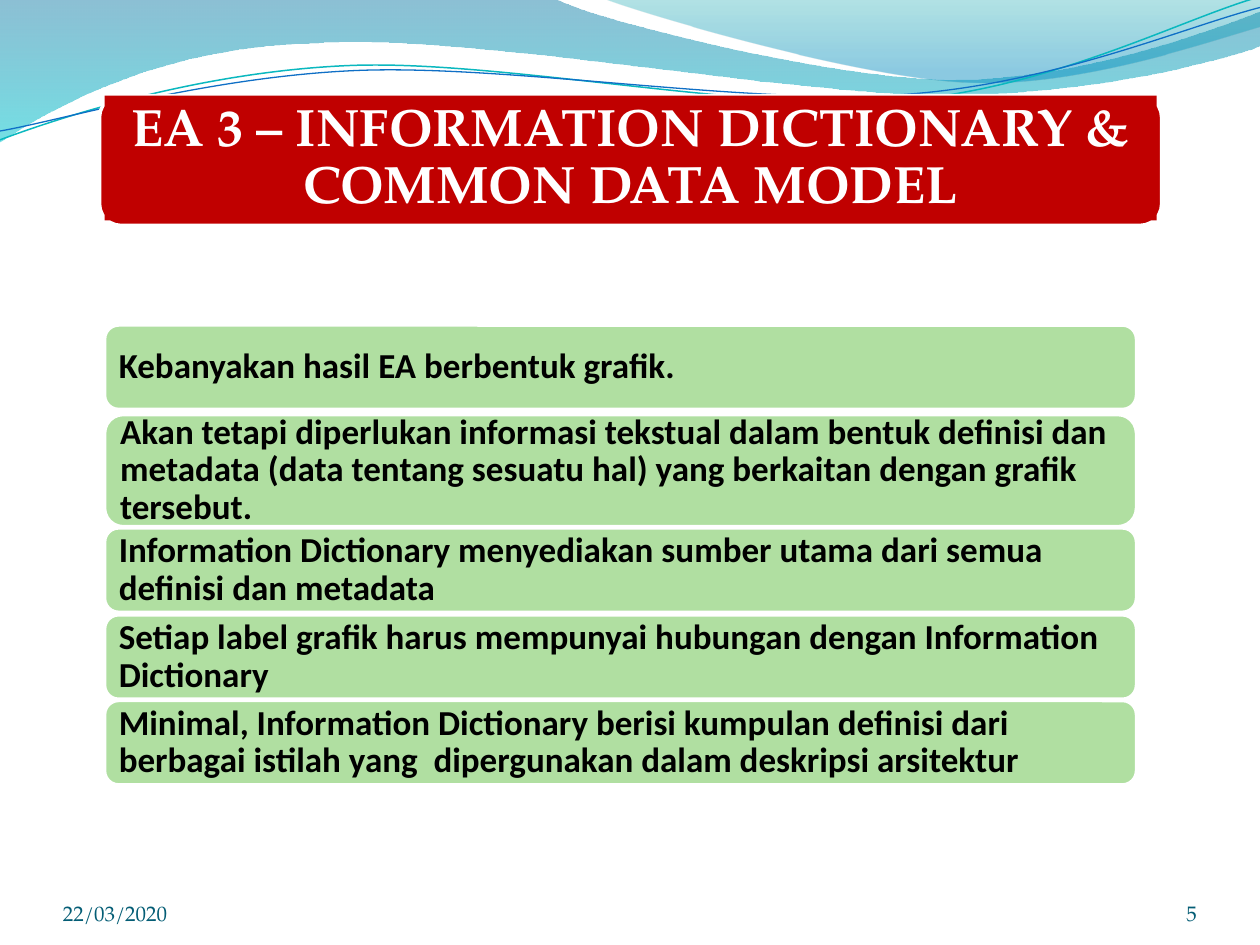
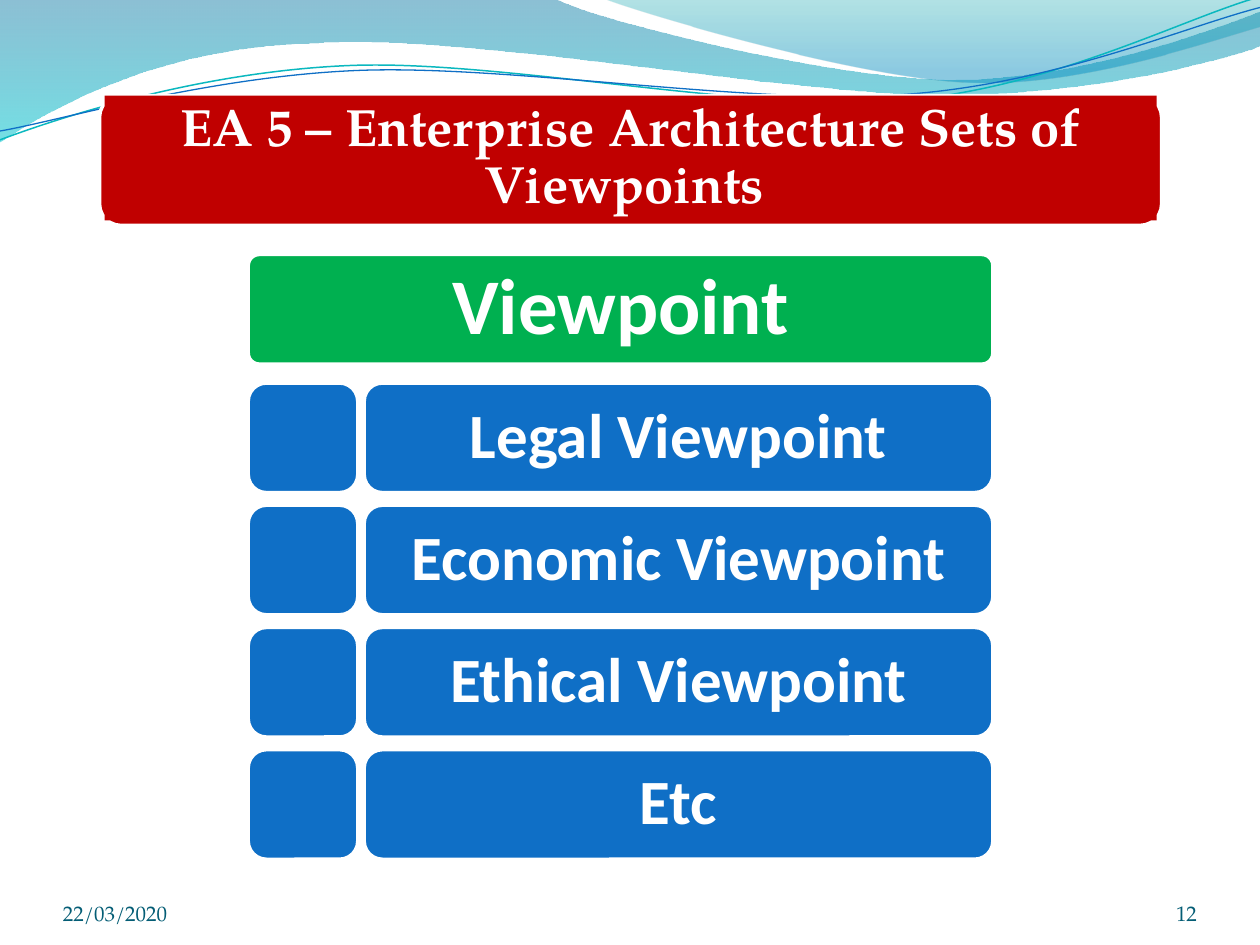
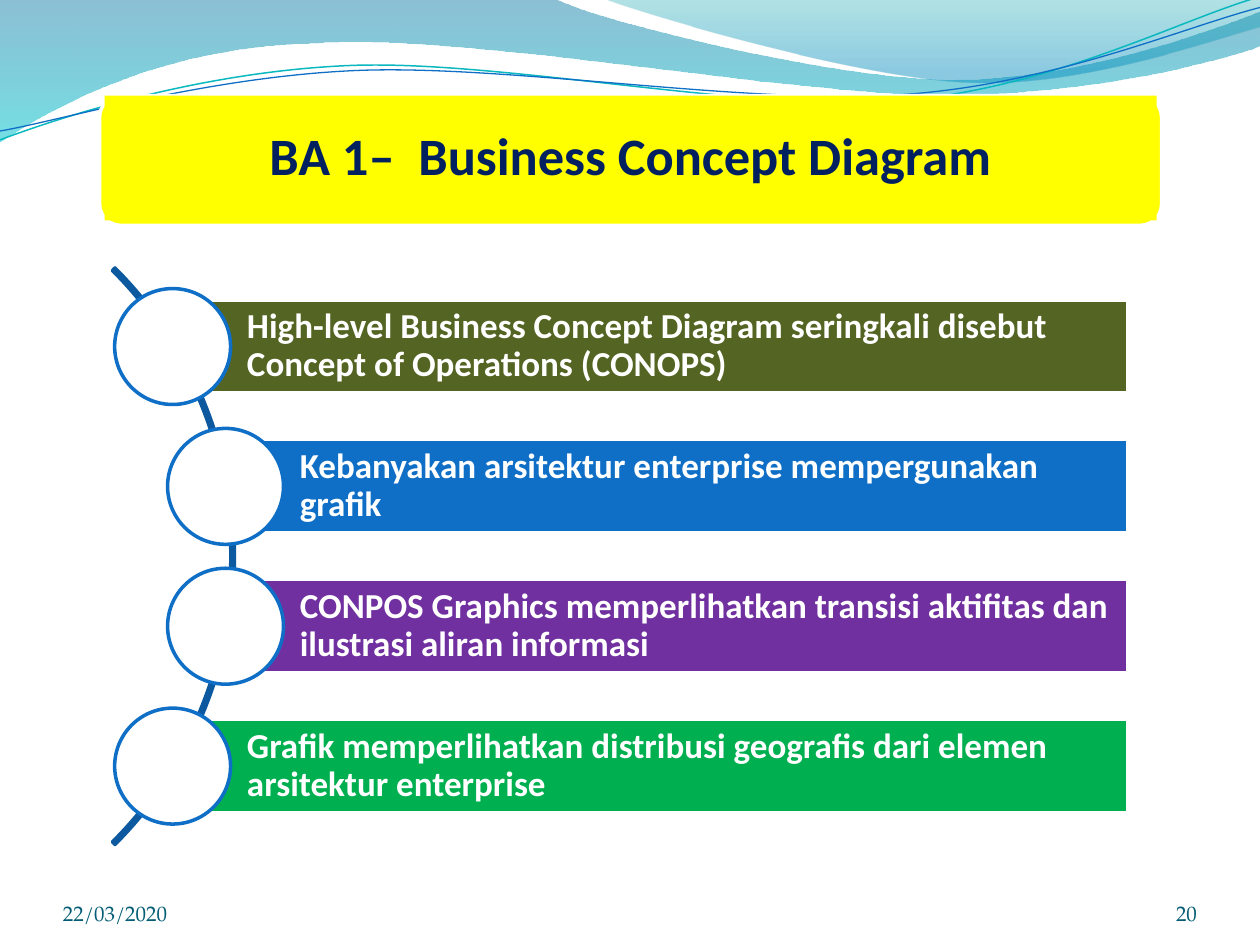
import math

import pptx
import pptx.dml.color
import pptx.enum.shapes
import pptx.enum.text
import pptx.oxml.ns
import pptx.util
from lxml import etree

Inches = pptx.util.Inches
Shape = pptx.enum.shapes.MSO_SHAPE
Align = pptx.enum.text.PP_ALIGN
Anchor = pptx.enum.text.MSO_ANCHOR
qualified = pptx.oxml.ns.qn

WHITE, BLACK, BLUE, GREEN = "FFFFFF", "000000", "0F6FC6", "00B050"
RED, YELLOW, NAVY, TEAL = "C00000", "FFFF00", "002060", "045D75"
LIGHT_GREEN, OLIVE, PURPLE, ARC_BLUE = "B0DFA1", "546422", "7030A0", "0C599F"
SERIF, SANS = "TeX Gyre Pagella", "Calibri"
DATE = "22/03/2020"
THREAD_TILT = -2.7

# Waves: a start point, then lists of one point (a line) or three (a curve).
LOWER_WAVE = [
    [(0, 0)], [(4.4, -0.01)],
    [(4.76, 0.17), (6.64, 0.63), (7.58, 0.63)],
    [(8.53, 0.63), (9.58, 0.26), (10, 0.09)],
    [(10.01, 0.36)],
    [(9.83, 0.44), (8.7, 0.76), (7.46, 0.75)],
    [(6.22, 0.75), (3.82, 0.28), (2.57, 0.34)],
    [(1.29, 0.36), (0.46, 0.83), (-0.01, 1.13)],
    [(0, 0)],
]
UPPER_WAVE = [
    [(4.79, -0.01)],
    [(5.09, 0.11), (6.82, 0.62), (7.69, 0.65)],
    [(8.56, 0.69), (9.61, 0.32), (10, 0.21)],
    [(10, 0)], [(4.79, -0.01)],
]
TEAL_THREAD = [
    [(0, 1.11)],
    [(0.48, 0.93), (1.58, 0.57), (2.77, 0.52)],
    [(3.95, 0.47), (5.93, 0.89), (7.13, 0.8)],
    [(8.33, 0.71), (9.38, 0.15), (9.98, -0.02)],
]
BLUE_THREAD = [
    [(0, 1.04)],
    [(0.47, 0.96), (1.64, 0.61), (2.83, 0.56)],
    [(4.03, 0.51), (5.97, 0.84), (7.17, 0.75)],
    [(8.36, 0.67), (9.41, 0.21), (10, 0.06)],
]


def rgb(color):
    return pptx.dml.color.RGBColor.from_string(color)


def style_shape(shape, fill=None, line=None, width=2):
    shape.shadow.inherit = False
    if fill:
        shape.fill.solid()
        shape.fill.fore_color.rgb = rgb(fill)
    else:
        shape.fill.background()
    if line:
        shape.line.color.rgb = rgb(line)
        shape.line.width = pptx.util.Pt(width)
    else:
        shape.line.fill.background()


def add_box(slide, kind, box, fill=None, line=None, adjustments=()):
    shape = slide.shapes.add_shape(kind, *map(Inches, box))
    style_shape(shape, fill, line)
    for index, value in enumerate(adjustments):
        shape.adjustments[index] = value
    return shape


def write(shape, text, size, color, font=SANS, align=Align.LEFT, bold=True,
          insets=(0, 0, 0, 0), anchor=Anchor.MIDDLE, spacing=0.9):
    """Set one paragraph; insets run left, top, right, bottom."""
    frame = shape.text_frame
    frame.text = text
    frame.word_wrap = True
    frame.vertical_anchor = anchor
    (frame.margin_left, frame.margin_top,
     frame.margin_right, frame.margin_bottom) = map(Inches, insets)
    paragraph = frame.paragraphs[0]
    paragraph.alignment = align
    paragraph.line_spacing = spacing
    run_font = paragraph.runs[0].font
    run_font.name, run_font.size, run_font.bold = font, pptx.util.Pt(size), bold
    run_font.color.rgb = rgb(color)


def turn(point, center, degrees):
    """Turn a point clockwise about a center."""
    x, y = point[0] - center[0], point[1] - center[1]
    cosine, sine = math.cos(math.radians(degrees)), math.sin(math.radians(degrees))
    return center[0] + x * cosine - y * sine, center[1] + x * sine + y * cosine


def add_wave(slide, wave, close):
    """Lay the points out as lines, then join each group of three into a curve."""
    start, *others = [(Inches(x), Inches(y)) for segment in wave for x, y in segment]
    builder = slide.shapes.build_freeform(*start)
    builder.add_line_segments(others, close=close)
    shape = builder.convert_to_shape()
    lines = shape._element.iter(qualified("a:lnTo"))
    lines = iter(list(lines))
    for segment in wave[1:]:
        parts = [next(lines) for _ in segment]
        if len(parts) == 3:
            curve = etree.Element(qualified("a:cubicBezTo"))
            parts[0].addprevious(curve)
            for part in parts:
                curve.append(part[0])
                part.getparent().remove(part)
    style_shape(shape)
    return shape


def add_gradient_wave(slide, wave, stops):
    """Fill a wave downwards; stops hold position, colour and opacity in percent."""
    shape = add_wave(slide, wave, close=True)
    shape.fill.gradient()
    shape.fill.gradient_angle = 270
    for gradient_stop, (position, color, _) in zip(shape.fill.gradient_stops, stops):
        gradient_stop.position = position
        gradient_stop.color.rgb = rgb(color)
    colors = shape._element.spPr.iter(qualified("a:srgbClr"))
    for element, (_, _, opacity) in zip(colors, stops):
        alpha = etree.SubElement(element, qualified("a:alpha"))
        alpha.set("val", str(opacity * 1000))
    return shape


def add_thread(slide, thread, center, color, width):
    """Draw the thread level, then tilt the whole shape."""
    level = [[turn(point, center, -THREAD_TILT) for point in segment] for segment in thread]
    shape = add_wave(slide, level, close=False)
    shape.rotation = THREAD_TILT
    style_shape(shape, line=color, width=width)
    return shape


def move_waves_to_layout(slide):
    """Draw the waves with the slide's tools and hand them to its layout."""
    waves = [
        add_gradient_wave(slide, LOWER_WAVE, [(0, "0074A1", 45), (1, "00C6CF", 55)]),
        add_gradient_wave(slide, UPPER_WAVE, [(0, "00A1A9", 30), (0.8, "008BBF", 45)]),
        add_thread(slide, TEAL_THREAD, (4.99, 0.58), "0AB8BF", 0.85),
        add_thread(slide, BLUE_THREAD, (5, 0.59), BLUE, 0.75),
    ]
    layout = slide.slide_layout
    for placeholder in list(layout.placeholders):
        layout.shapes._spTree.remove(placeholder._element)
    for wave in waves:
        layout.shapes._spTree.append(wave._element)


def add_footer(slide, number):
    for text, left, width, align in ((DATE, 0.5, 2.33, Align.LEFT),
                                     (str(number), 8.67, 0.83, Align.RIGHT)):
        text_box = slide.shapes.add_textbox(*map(Inches, (left, 6.95, width, 0.4)))
        write(text_box, text, 12, TEAL, SERIF, align, bold=False,
              anchor=Anchor.BOTTOM, spacing=1)


def add_title(slide, text, fill, color, font):
    left, top, width, height = 0.79, 0.76, 8.43, 1.03
    add_box(slide, Shape.ROUNDED_RECTANGLE, (left, top, width, height), fill, WHITE)
    band = add_box(slide, Shape.RECTANGLE, (left + 0.04, top, width - 0.08, height - 0.04), fill)
    write(band, text, 30, color, font, Align.CENTER, insets=(0.12,) * 4)


def add_framed_slide(presentation, number, title, fill=RED, color=WHITE, font=SERIF):
    slide = presentation.slides.add_slide(presentation.slide_layouts[6])
    add_footer(slide, number)
    add_title(slide, title, fill, color, font)
    return slide


def add_statements(slide, box, statements):
    """Stack rounded bars; each has an offset from the top and a height."""
    left, top, width = box
    for offset, height, text in statements:
        bar = add_box(slide, Shape.ROUNDED_RECTANGLE, (left, top + offset, width, height),
                      LIGHT_GREEN, WHITE)
        write(bar, text, 20, BLACK, insets=(0.08,) * 4)


def add_viewpoints(slide, box, heading, viewpoints):
    left, top, width, height = box
    side, gap, first_row = 0.87, 0.05, 1.02
    pitch = (height - first_row - side) / (len(viewpoints) - 1)
    header = add_box(slide, Shape.ROUNDED_RECTANGLE, (left, top, width, side), GREEN, WHITE, [0.1])
    write(header, heading, 45, WHITE, align=Align.CENTER, insets=(0.09, 0.06, 0.09, 0.06))
    for index, viewpoint in enumerate(viewpoints):
        row_top = top + first_row + index * pitch
        add_box(slide, Shape.ROUNDED_RECTANGLE, (left, row_top, side, side), BLUE, WHITE)
        label = add_box(slide, Shape.ROUNDED_RECTANGLE,
                        (left + side + gap, row_top, width - side - gap, side), BLUE, WHITE)
        write(label, viewpoint, 36, WHITE, align=Align.CENTER, insets=(0.28,) * 4)


def add_curved_list(slide, box, items):
    """Set bars with circles along an arc; each item has an indent, a fill and a text."""
    left, top, width, height = box
    bar_height, circle = 0.74, 0.92
    pitch = (height - circle) / (len(items) - 1)
    arc = 6.47
    add_box(slide, Shape.BLOCK_ARC, (left - 5.52, top + (height - arc) / 2, arc, arc),
            line=ARC_BLUE, adjustments=[189, 27, 0.0044])
    for index, (indent, fill, text) in enumerate(items):
        circle_left, circle_top = left + indent, top + index * pitch
        bar_left = circle_left + circle / 2
        bar = add_box(slide, Shape.RECTANGLE,
                      (bar_left, circle_top + (circle - bar_height) / 2,
                       left + width - bar_left, bar_height), fill, WHITE)
        write(bar, text, 20, WHITE, insets=(0.59, 0.06, 0.06, 0.06))
        add_box(slide, Shape.OVAL, (circle_left, circle_top, circle, circle), WHITE, BLUE)


def main():
    presentation = pptx.Presentation()
    presentation.slide_width, presentation.slide_height = Inches(10), Inches(7.5)

    dictionary = add_framed_slide(presentation, 5, "EA 3 – INFORMATION DICTIONARY & COMMON DATA MODEL")
    move_waves_to_layout(dictionary)
    add_statements(dictionary, (0.83, 2.58, 8.19), [
        (0, 0.67, "Kebanyakan hasil EA berbentuk grafik."),
        (0.71, 0.89, "Akan tetapi diperlukan informasi tekstual dalam bentuk definisi dan "
                     "metadata (data tentang sesuatu hal) yang berkaitan dengan grafik tersebut."),
        (1.61, 0.67, "Information Dictionary menyediakan sumber utama dari semua definisi dan metadata"),
        (2.3, 0.67, "Setiap label grafik harus mempunyai hubungan dengan Information Dictionary"),
        (2.98, 0.67, "Minimal, Information Dictionary berisi kumpulan definisi dari berbagai "
                     "istilah yang  dipergunakan dalam deskripsi arsitektur"),
    ])

    viewpoints = add_framed_slide(presentation, 12, "EA 5 – Enterprise Architecture Sets of Viewpoints ")
    add_viewpoints(viewpoints, (1.97, 2.02, 5.91, 4.8), "Viewpoint",
                   ["Legal Viewpoint", "Economic Viewpoint", "Ethical Viewpoint", "Etc"])

    concept = add_framed_slide(presentation, 20, "BA 1–  Business Concept Diagram", YELLOW, NAVY, SANS)
    add_curved_list(concept, (0.91, 2.29, 8.04, 4.25), [
        (0, OLIVE, "High-level Business Concept Diagram seringkali disebut Concept of Operations (CONOPS)"),
        (0.42, BLUE, "Kebanyakan arsitektur enterprise mempergunakan grafik"),
        (0.42, PURPLE, "CONPOS Graphics memperlihatkan transisi aktifitas dan ilustrasi aliran informasi"),
        (0, GREEN, "Grafik memperlihatkan distribusi geografis dari elemen arsitektur enterprise"),
    ])

    presentation.save("out.pptx")


if __name__ == "__main__":
    main()
